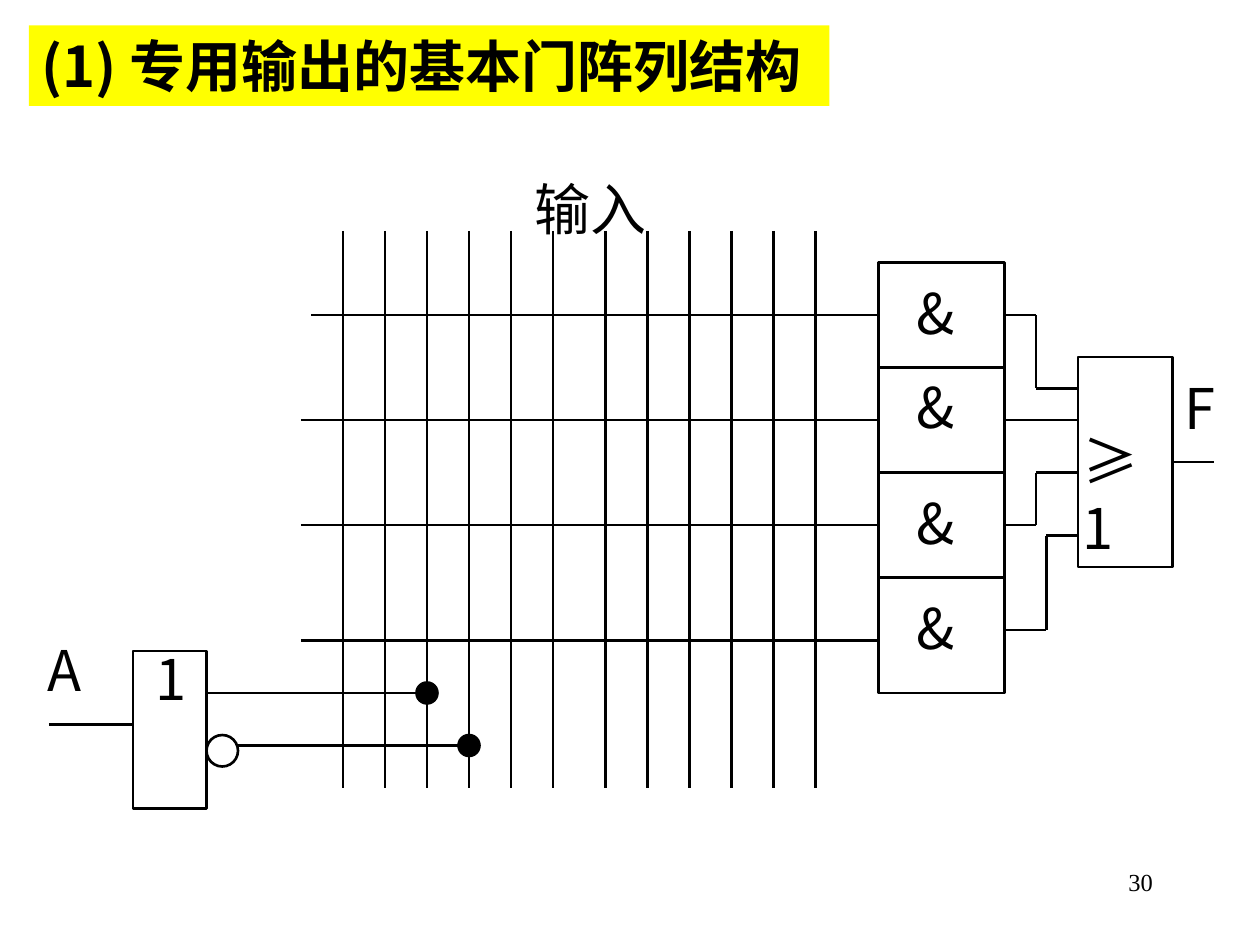
"""Draw the basic gate array with a dedicated output on one slide."""
from lxml.etree import SubElement
from pptx import Presentation
from pptx.dml.color import RGBColor
from pptx.enum.shapes import MSO_CONNECTOR as Connector, MSO_SHAPE as Shape
from pptx.enum.text import MSO_AUTO_SIZE as AutoSize, PP_ALIGN as Align
from pptx.oxml.ns import qn
from pptx.util import Pt

COLORS = {"ink": "000000", "highlight": "FFFF00"}
SANS, SERIF = "Noto Sans CJK SC", "Times New Roman"

TITLE = ("(1) 专用输出的基本门阵列结构", 16.5, 14.5, 457.5, 46)
LABELS = [
    ("A", 20, 359.5, 34.5, 46),
    ("F", 670, 210, 31, 46),
    ("1", 81.5, 365, 32.5, 46),
]
WRAPPED_LABELS = [("输入", 298.5, 96, 108, 46), ("≥1", 611.5, 240, 60, 46)]
PAGE_NUMBER = ("30", 516, 492, 150, 36)

AND_LEFT, AND_RIGHT, OR_LEFT, OR_RIGHT = 502, 574, 616, 670
AND_DIVIDERS = [210, 270, 330]
AND_LABEL_TOPS = [155.5, 209.5, 275.5, 335.5]
PRODUCT_ROWS = [(178, 180), (172, 240), (172, 300), (172, 366)]
AND_TO_OR = [(180, 592, 222), (240, 592, 240), (300, 592, 270), (360, 598, 306)]

COLUMN_STARTS, COLUMNS_PER_GROUP, COLUMN_PITCH = [196, 346], 6, 24
COLUMN_TOP, COLUMN_BOTTOM = 132, 450

BOXES = [
    (AND_LEFT, 150, AND_RIGHT - AND_LEFT, 246),
    (OR_LEFT, 204, OR_RIGHT - OR_LEFT, 120),
    (76, 372, 42, 90),
]
INVERTER_BUBBLE = (118, 420, 18, 18)
INPUT_WIRES = [(28, 414, 76), (118, 396, 244), (136, 426, 268)]
JUNCTIONS, JUNCTION_SIZE = [(244, 396), (268, 426)], 12

deck = Presentation()
deck.slide_width, deck.slide_height = Pt(720), Pt(540)
slide = deck.slides.add_slide(deck.slide_layouts[6])


def color(name):
    return RGBColor.from_string(COLORS[name])


def add_text(text, left, top, width, height, *, size=32, font=SANS, bold=False,
             wrap=False, align=Align.LEFT, fill=None):
    box = slide.shapes.add_textbox(Pt(left), Pt(top), Pt(width), Pt(height))
    if fill:
        box.fill.solid()
        box.fill.fore_color.rgb = color(fill)
    frame = box.text_frame
    frame.word_wrap = wrap
    frame.auto_size = AutoSize.NONE if wrap else AutoSize.SHAPE_TO_FIT_TEXT
    paragraph = frame.paragraphs[0]
    paragraph.alignment = align
    run = paragraph.add_run()
    run.text = text
    run.font.size, run.font.bold, run.font.name = Pt(size), bold, font
    run.font.color.rgb = color("ink")
    SubElement(run.font._element, qn("a:ea"), typeface=font)


def add_outline(kind, left, top, width, height, filled=False):
    part = slide.shapes.add_shape(kind, Pt(left), Pt(top), Pt(width), Pt(height))
    part.shadow.inherit = False
    if filled:
        part.fill.solid()
        part.fill.fore_color.rgb = color("ink")
    else:
        part.fill.background()
    part.line.color.rgb, part.line.width = color("ink"), Pt(1.5)


def add_wire(*points):
    for start, end in zip(points, points[1:]):
        wire = slide.shapes.add_connector(
            Connector.STRAIGHT, *(Pt(value) for value in start + end))
        wire.line.color.rgb, wire.line.width = color("ink"), Pt(1.5)
        SubElement(wire._element.spPr, qn("a:effectLst"))


add_text(*TITLE, bold=True, fill="highlight")

for box in BOXES:
    add_outline(Shape.RECTANGLE, *box)
add_outline(Shape.OVAL, *INVERTER_BUBBLE)

for y in AND_DIVIDERS:
    add_wire((AND_LEFT, y), (AND_RIGHT, y))
for left, y in PRODUCT_ROWS:
    add_wire((left, y), (AND_LEFT, y))
for y, bend, or_y in AND_TO_OR:
    if y == or_y:
        add_wire((AND_RIGHT, y), (OR_LEFT, y))
    else:
        add_wire((AND_RIGHT, y), (bend, y), (bend, or_y), (OR_LEFT, or_y))
add_wire((OR_RIGHT, 264), (694, 264))

for start in COLUMN_STARTS:
    for index in range(COLUMNS_PER_GROUP):
        x = start + index * COLUMN_PITCH
        add_wire((x, COLUMN_TOP), (x, COLUMN_BOTTOM))

for left, y, right in INPUT_WIRES:
    add_wire((left, y), (right, y))
for x, y in JUNCTIONS:
    add_outline(Shape.OVAL, x - JUNCTION_SIZE / 2, y - JUNCTION_SIZE / 2,
                JUNCTION_SIZE, JUNCTION_SIZE, filled=True)

for label in LABELS:
    add_text(*label)
for label in WRAPPED_LABELS:
    add_text(*label, wrap=True)
for top in AND_LABEL_TOPS:
    add_text("&", 516.5, top, 37.5, 46)
add_text(*PAGE_NUMBER, size=14, font=SERIF, wrap=True, align=Align.RIGHT)

deck.save("out.pptx")
